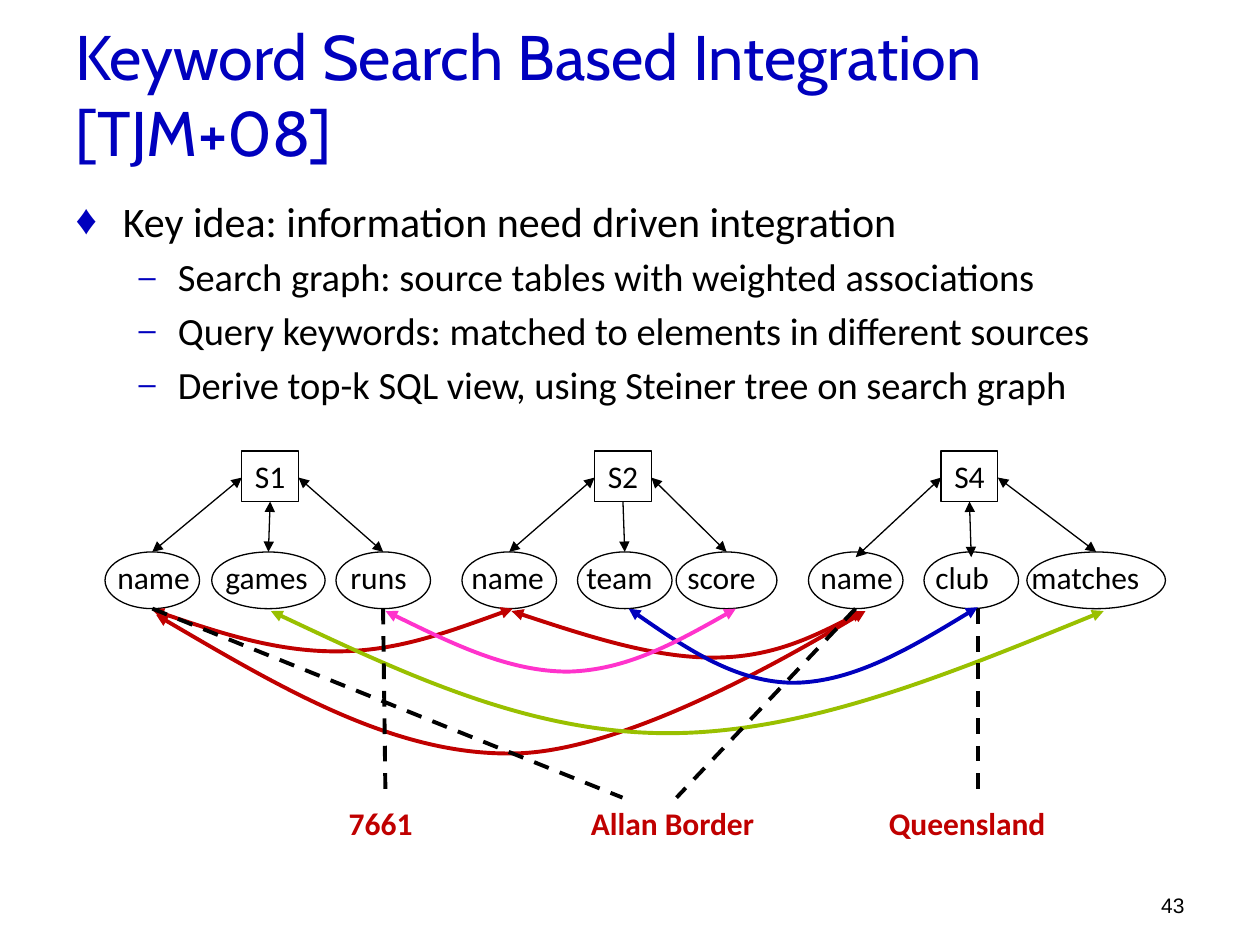
from dataclasses import dataclass

from lxml.etree import SubElement
from pptx import Presentation
from pptx.dml.color import RGBColor
from pptx.enum.dml import MSO_LINE
from pptx.enum.shapes import MSO_CONNECTOR, MSO_SHAPE
from pptx.enum.text import MSO_ANCHOR, MSO_AUTO_SIZE, PP_ALIGN
from pptx.oxml.ns import qn
from pptx.util import Pt


@dataclass(frozen=True)
class Theme:
    blue: str = "0000BE"
    black: str = "000000"
    red: str = "C00000"
    green: str = "99C000"
    pink: str = "FF33CC"
    title_font: str = "Cabin"
    text_font: str = "Calibri"
    number_font: str = "Arial"
    title_size: float = 36
    idea_size: float = 24
    detail_size: float = 22
    label_size: float = 18
    number_size: float = 12
    thin: float = 0.75
    thick: float = 2.25


class SlideBuilder:
    def __init__(self, page, theme):
        self.page = page
        self.theme = theme

    def add_span(self, para, text, size, color=None, font=None, bold=False):
        span = para.add_run()
        span.text = text
        span.font.size = Pt(size)
        span.font.name = font or self.theme.text_font
        span.font.bold = bold
        span.font.color.rgb = RGBColor.from_string(color or self.theme.black)

    def place(self, box, left, top, width, height):
        box.left, box.top, box.width, box.height = map(Pt, (left, top, width, height))
        box.text_frame.word_wrap = True
        box.text_frame.auto_size = MSO_AUTO_SIZE.NONE

    def title(self, text, *area):
        box = self.page.shapes.title
        self.place(box, *area)
        box.text_frame.vertical_anchor = MSO_ANCHOR.MIDDLE
        para = box.text_frame.paragraphs[0]
        para.alignment = PP_ALIGN.LEFT
        self.add_span(para, text, self.theme.title_size, self.theme.blue, self.theme.title_font)

    def bullet(self, para, mark, left, hanging, percent):
        properties = para._p.get_or_add_pPr()
        properties.set("marL", str(Pt(left)))
        properties.set("indent", str(-Pt(hanging)))
        color = SubElement(properties, qn("a:buClr"))
        SubElement(color, qn("a:srgbClr"), val=self.theme.blue)
        SubElement(properties, qn("a:buSzPct"), val=str(percent * 1000))
        SubElement(properties, qn("a:buChar"), char=mark)

    def outline(self, idea, details, *area):
        box = self.page.placeholders[1]
        self.place(box, *area)
        para = box.text_frame.paragraphs[0]
        self.bullet(para, "♦", 27, 27, 100)
        para.space_before = Pt(0)
        self.add_span(para, idea, self.theme.idea_size)
        for detail in details:
            para = box.text_frame.add_paragraph()
            para.level = 1
            self.bullet(para, "–", 58.5, 22.5, 80)
            para.space_before = Pt(4.4)
            self.add_span(para, detail, self.theme.detail_size)

    def text_box(self, *area):
        box = self.page.shapes.add_textbox(0, 0, 0, 0)
        self.place(box, *area)
        return box

    def word_row(self, words, stops, area, color=None, bold=False):
        """Set the words on one line, each after the first at its own tab stop."""
        para = self.text_box(*area).text_frame.paragraphs[0]
        tabs = SubElement(para._p.get_or_add_pPr(), qn("a:tabLst"))
        for stop in stops:
            SubElement(tabs, qn("a:tab"), pos=str(Pt(stop)), algn="l")
        for index, word in enumerate(words):
            text = f"\t{word}" if index else word
            self.add_span(para, text, self.theme.label_size, color, bold=bold)

    def page_number(self, text, *area):
        frame = self.text_box(*area).text_frame
        frame.vertical_anchor = MSO_ANCHOR.BOTTOM
        para = frame.paragraphs[0]
        para.alignment = PP_ALIGN.RIGHT
        self.add_span(para, text, self.theme.number_size, font=self.theme.number_font)

    def stroke(self, line, color, width, ends=()):
        line.color.rgb = RGBColor.from_string(color)
        line.width = Pt(width)
        for end in ends:
            SubElement(line._get_or_add_ln(), qn(f"a:{end}"), type="triangle")

    def node(self, kind, area, label=None):
        shape = self.page.shapes.add_shape(kind, *map(Pt, area))
        shape.shadow.inherit = False
        shape.fill.background()
        self.stroke(shape.line, self.theme.black, self.theme.thin)
        if label:
            shape.text_frame.word_wrap = False
            para = shape.text_frame.paragraphs[0]
            para.alignment = PP_ALIGN.CENTER
            self.add_span(para, label, self.theme.label_size)

    def link(self, start, end, ends=(), dashed=False):
        line = self.page.shapes.add_connector(MSO_CONNECTOR.STRAIGHT, *map(Pt, start + end))
        if dashed:
            line.line.dash_style = MSO_LINE.DASH
        width = self.theme.thick if dashed else self.theme.thin
        self.stroke(line.line, self.theme.black, width, ends)
        SubElement(line._element.spPr, qn("a:effectLst"))

    def curve(self, color, points):
        """Draw Bezier pieces: a start point, then two controls and an end for each."""
        start, *rest = [(Pt(x), Pt(y)) for x, y in points]
        builder = self.page.shapes.build_freeform(*start)
        builder.add_line_segments(rest, close=False)
        shape = builder.convert_to_shape()
        path = shape._element.find(f".//{qn('a:path')}")
        segments = path.findall(qn("a:lnTo"))
        for first in range(0, len(segments), 3):
            bezier = SubElement(path, qn("a:cubicBezTo"))
            for segment in segments[first:first + 3]:
                bezier.append(segment[0])
                path.remove(segment)
        shape.shadow.inherit = False
        shape.fill.background()
        self.stroke(shape.line, color, self.theme.thick, BOTH)


BOTH = ("headEnd", "tailEnd")
BOX_TOP, BOX_WIDTH, BOX_HEIGHT = 257.8, 32.4, 28.8
OVAL_TOP, OVAL_HEIGHT = 315.4, 32.4
KEYWORD_TOP = 455.8

# Source, box left, then left, width and arrow overlap of each attribute oval
SOURCES = [
    ("S1", 138.2, [(60, 54, 0), (121, 64.8, 0), (192, 54, 0)]),
    ("S2", 339.8, [(264, 54, 0), (330, 54, 0), (386.4, 57.6, 0)]),
    ("S4", 537.8, [(462, 54, 3), (528, 54, 3), (586.8, 79.2, 0)]),
]
ATTRIBUTES = ["name", "games", "runs", "name", "team", "score", "name", "club", "matches"]
ATTRIBUTE_STOPS = [61.7, 133.1, 202.3, 268, 325.7, 401.7, 467.4, 522.3]
KEYWORDS = ["7661", "Allan Border", "Queensland"]
KEYWORD_STOPS = [138.3, 308.6]
ASSOCIATIONS = [
    ("red", [(87, 348.5), (122.4, 360.7), (157.7, 372.2), (192.2, 372.2),
             (226.8, 372.2), (259.2, 360), (293, 347.8)]),
    ("red", [(292.3, 349.2), (333.4, 362.9), (373.7, 375.8), (407.5, 375.8),
             (440.6, 375.8), (467.3, 362.9), (493.2, 349.2)]),
    ("red", [(89.3, 351.4), (157, 391), (224.6, 431.3), (292.3, 430.6),
             (360, 430.6), (494.6, 349.2), (494.6, 349.2)]),
    ("green", [(154.8, 349.2), (228.2, 383.8), (302.4, 419), (381.6, 419),
               (460.8, 419), (545.8, 383.8), (630.7, 349.2)]),
    ("blue", [(359.3, 347.8), (390.2, 369.4), (421.2, 390.2), (454.3, 390.2),
              (488.2, 389.5), (523.4, 368.6), (558.7, 347)]),
    ("pink", [(220.3, 349.2), (255.6, 366.5), (290.9, 383.8), (324.7, 383.8),
              (357.8, 383), (388.8, 365.8), (420.5, 347.8)]),
]
# Attribute x and keyword x
MATCHES = [(558.7, 558.7), (218.9, 220.3), (488.9, 386.6), (87.1, 355.7)]


def main():
    deck = Presentation()
    deck.slide_width, deck.slide_height = Pt(720), Pt(540)
    theme = Theme()
    slide = SlideBuilder(deck.slides.add_slide(deck.slide_layouts[1]), theme)
    slide.title("Keyword Search Based Integration [TJM+08]", 36, 22.3, 671.8, 61.9)
    slide.outline("Key idea: information need driven integration", [
        "Search graph: source tables with weighted associations",
        "Query keywords: matched to elements in different sources",
        "Derive top-k SQL view, using Steiner tree on search graph",
    ], 36, 108, 684, 354)
    slide.page_number("43", 516, 492, 168, 36)
    slide.word_row(ATTRIBUTES, ATTRIBUTE_STOPS, (60, OVAL_TOP, 607.7, 28.8))
    for name, left, ovals in SOURCES:
        slide.node(MSO_SHAPE.RECTANGLE, (left, BOX_TOP, BOX_WIDTH, BOX_HEIGHT), name)
        side = BOX_TOP + BOX_HEIGHT / 2 + 0.7
        starts = [(left, side), (left + BOX_WIDTH / 2, BOX_TOP + BOX_HEIGHT),
                  (left + BOX_WIDTH, side)]
        for index, (start, (oval_left, width, overlap)) in enumerate(zip(starts, ovals)):
            slide.node(MSO_SHAPE.OVAL, (oval_left, OVAL_TOP, width, OVAL_HEIGHT))
            ends = BOTH[1:] if (name, index) == ("S2", 1) else BOTH
            slide.link(start, (oval_left + width / 2, OVAL_TOP + overlap), ends)
    for color, points in ASSOCIATIONS:
        slide.curve(getattr(theme, color), points)
    slide.word_row(KEYWORDS, KEYWORD_STOPS, (192.2, KEYWORD_TOP, 431.3, 28.8), theme.red, True)
    for attribute_x, keyword_x in MATCHES:
        slide.link((attribute_x, OVAL_TOP + OVAL_HEIGHT), (keyword_x, KEYWORD_TOP), dashed=True)
    deck.save("out.pptx")


if __name__ == "__main__":
    main()
